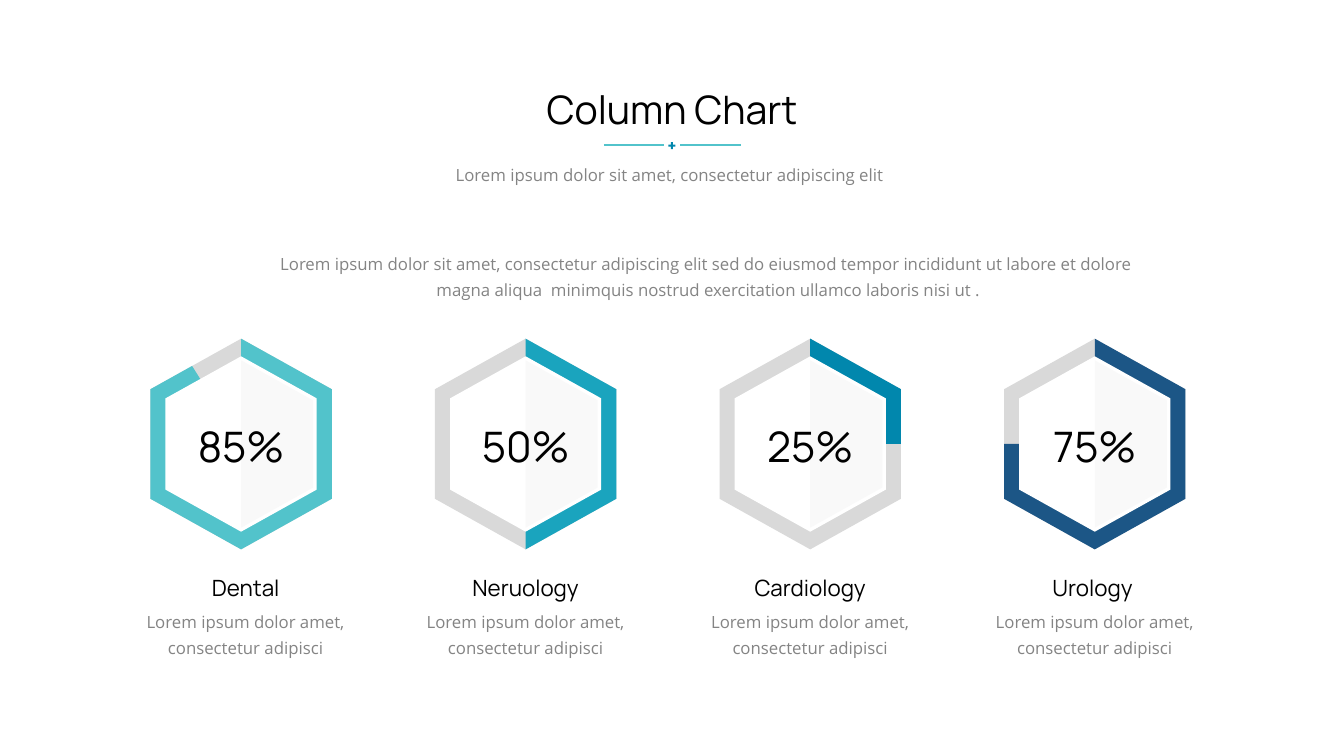
from dataclasses import dataclass
from math import floor

from lxml.etree import SubElement
from pptx import Presentation
from pptx.dml.color import RGBColor
from pptx.enum.shapes import MSO_CONNECTOR, MSO_SHAPE
from pptx.enum.text import MSO_ANCHOR, PP_ALIGN
from pptx.oxml.ns import qn
from pptx.util import Inches, Length, Pt

BLACK = RGBColor(0x00, 0x00, 0x00)
WHITE = RGBColor(0xFF, 0xFF, 0xFF)
GREY_TEXT = RGBColor(0x84, 0x84, 0x84)
TRACK = RGBColor(0xD9, 0xD9, 0xD9)
PALE = RGBColor(0xF2, 0xF2, 0xF2)
TURQUOISE = RGBColor(0x52, 0xC3, 0xCB)
TEAL = RGBColor(0x1A, 0xA4, 0xBE)
BLUE = RGBColor(0x01, 0x87, 0xAD)
NAVY = RGBColor(0x1C, 0x56, 0x86)

# Grid of square cells, ten to the inch
COLUMNS, ROWS = 133.33, 75
FIRST_CENTRE, CENTRE_STEP, CENTRE_ROW = 23.92, 28.23, 44.05
SHOULDER = 0.52  # height of a hexagon's side corners as a share of its half height

Point = tuple[float, float]


@dataclass(frozen=True)
class Hexagon:
    half_width: float
    half_height: float

    def corners(self, column: float) -> list[Point]:
        """Corners clockwise from the top, around the given centre column."""
        wide, high = self.half_width, self.half_height
        side = high * SHOULDER
        offsets = [(0, -high), (wide, -side), (wide, side),
                   (0, high), (-wide, side), (-wide, -side)]
        return [(column + across, CENTRE_ROW + down) for across, down in offsets]

    def partial(self, column: float, sweep: float) -> list[Point]:
        """Outline from the top corner up to a share of the way round."""
        corners = self.corners(column)
        whole = floor(sweep * 6)
        part = sweep * 6 - whole
        (x1, y1), (x2, y2) = corners[whole], corners[(whole + 1) % 6]
        end = (x1 + (x2 - x1) * part, y1 + (y2 - y1) * part)
        return corners[:whole + 1] + ([end] if part else [])


@dataclass(frozen=True)
class Department:
    name: str
    value: str
    sweep: float
    color: RGBColor
    text_shift: float = 0


@dataclass(frozen=True)
class Style:
    font: str
    size: float
    color: RGBColor
    line_spacing: float | None = None


RING_OUTER, RING_INNER = Hexagon(9, 10.45), Hexagon(7.15, 8.3)
GAP_OUTER, GAP_INNER = Hexagon(7.5, 8.7), Hexagon(5.95, 6.9)

TITLE = Style("Manrope", 28, BLACK)
VALUE = Style("Manrope", 30, BLACK)
NAME = Style("Manrope", 16, BLACK)
BODY = Style("Open Sans", 12, GREY_TEXT, 1.3)

DEPARTMENTS = [
    Department("Dental", "85%", 0.91, TURQUOISE, 0.45),
    Department("Neruology", "50%", 0.5, TEAL),
    Department("Cardiology", "25%", 0.25, BLUE),
    Department("Urology ", "75%", 0.75, NAVY),
]


def cells(count: float) -> Length:
    return Inches(count / 10)


def add_outline(page, contours: list[list[Point]], color: RGBColor):
    """Draw filled closed contours; a second contour cuts a hole."""
    builder = None
    for contour in contours:
        points = [(cells(column), cells(row)) for column, row in contour]
        if builder is None:
            builder = page.shapes.build_freeform(*points[0])
        else:
            builder.move_to(*points[0])
        builder.add_line_segments(points[1:], close=True)
    shape = builder.convert_to_shape()
    paint(shape, color)
    return shape


def paint(shape, color: RGBColor) -> None:
    shape.shadow.inherit = False
    shape.fill.solid()
    shape.fill.fore_color.rgb = color
    shape.line.fill.background()


def add_text(page, lines: list[str], style: Style, centre: float,
             row: float, width: float, height: float) -> None:
    box = page.shapes.add_textbox(cells(centre - width / 2), cells(row),
                                  cells(width), cells(height))
    frame = box.text_frame
    frame.word_wrap = True
    frame.vertical_anchor = MSO_ANCHOR.MIDDLE
    frame.text = "\n".join(lines)
    for para in frame.paragraphs:
        para.alignment = PP_ALIGN.CENTER
        if style.line_spacing:
            para.line_spacing = style.line_spacing
        for span in para.runs:
            span.font.name = style.font
            span.font.size = Pt(style.size)
            span.font.color.rgb = style.color


def add_rule(page, start: float, end: float, row: float) -> None:
    rule = page.shapes.add_connector(MSO_CONNECTOR.STRAIGHT, cells(start),
                                     cells(row), cells(end), cells(row))
    rule.line.color.rgb = TURQUOISE
    rule.line.width = Pt(1.5)
    SubElement(rule._element.spPr, qn("a:effectLst"))


def add_department(page, department: Department, centre: float) -> None:
    # Ring with its filled share
    add_outline(page, [RING_OUTER.corners(centre), RING_INNER.corners(centre)], TRACK)
    outer = RING_OUTER.partial(centre, department.sweep)
    inner = RING_INNER.partial(centre, department.sweep)
    add_outline(page, [outer + inner[::-1]], department.color)

    # White inner rim and translucent right half
    add_outline(page, [GAP_OUTER.corners(centre), GAP_INNER.corners(centre)], WHITE)
    half = add_outline(page, [RING_INNER.partial(centre, 0.5)], PALE)
    tint = half._element.spPr.find(qn("a:solidFill")).find(qn("a:srgbClr"))
    SubElement(tint, qn("a:alpha"), val="43000")

    # Value, name and description
    text_centre = centre + department.text_shift
    add_text(page, [department.value], VALUE, centre, 41.2, 15, 6.1)
    add_text(page, [department.name], NAME, text_centre, 56.4, 20, 3.7)
    add_text(page, ["Lorem ipsum dolor amet, consectetur adipisci"],
             BODY, text_centre, 59.7, 24, 6)


def main() -> None:
    deck = Presentation()
    deck.slide_width, deck.slide_height = cells(COLUMNS), cells(ROWS)
    page = deck.slides.add_slide(deck.slide_layouts[6])
    middle = COLUMNS / 2

    # Heading with divider
    add_text(page, ["Column Chart"], TITLE, middle, 7.9, 47.8, 5.7)
    for start in (59.9, 67.5):
        add_rule(page, start, start + 6, 14.4)
    plus = page.shapes.add_shape(MSO_SHAPE.CROSS, cells(middle - 0.35), cells(14.1),
                                 cells(0.7), cells(0.7))
    plus.adjustments[0] = 0.35
    paint(plus, BLUE)
    add_text(page, ["Lorem ipsum dolor sit amet, consectetur adipiscing elit "],
             BODY, middle, 15.3, 68.8, 3.4)

    # Introduction
    add_text(page, ["Lorem ipsum dolor sit amet, consectetur adipiscing elit sed do "
                    "eiusmod tempor incididunt ut labore et dolore ",
                    "magna aliqua  minimquis nostrud exercitation ullamco laboris nisi ut ."],
             BODY, 70.3, 24.2, 103.8, 6)

    # Departments
    for index, department in enumerate(DEPARTMENTS):
        add_department(page, department, FIRST_CENTRE + index * CENTRE_STEP)

    deck.save("out.pptx")


if __name__ == "__main__":
    main()
